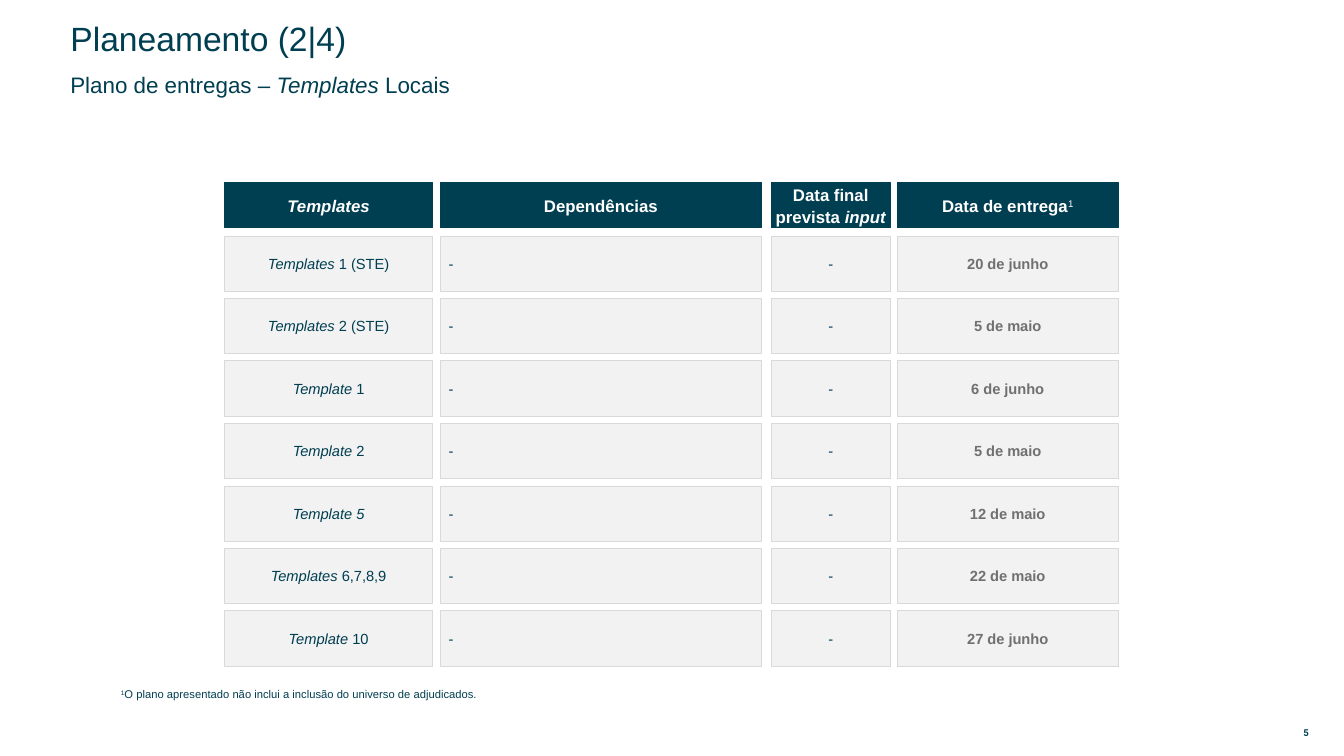
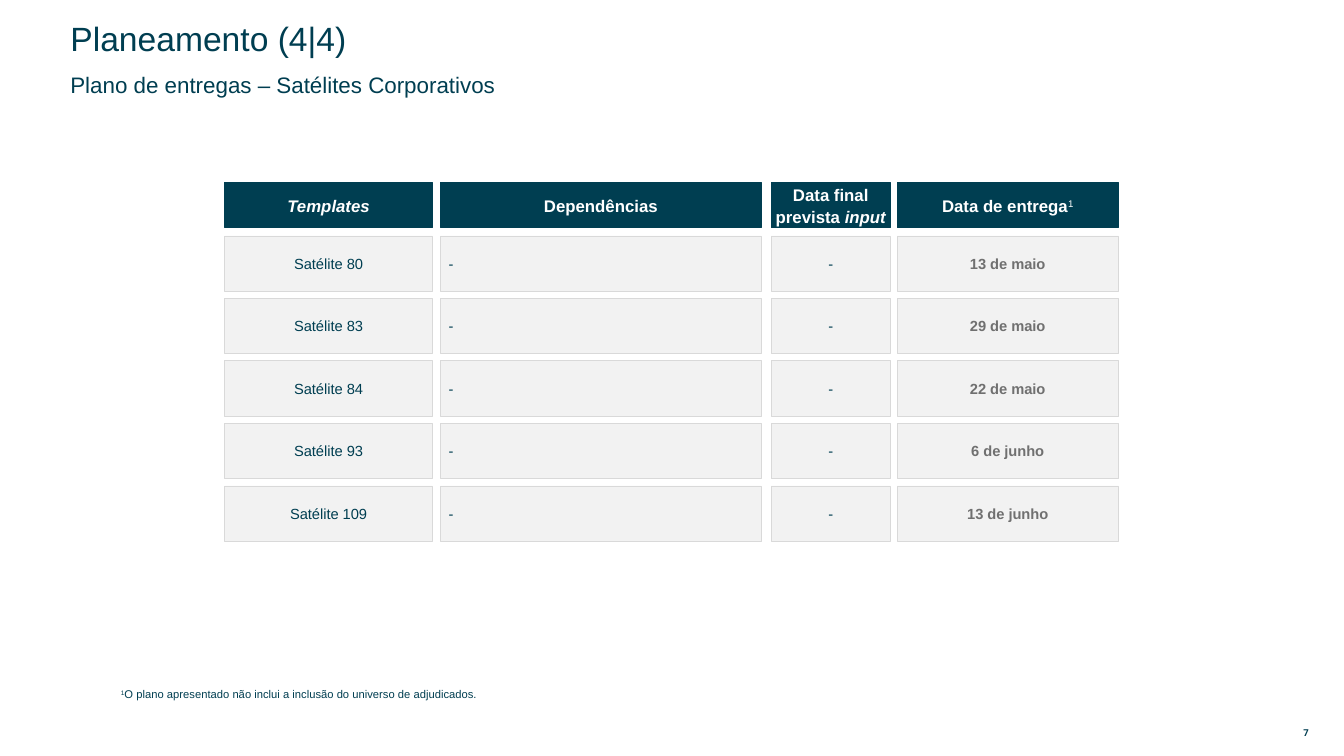
from dataclasses import dataclass

from pptx import Presentation
from pptx.dml.color import RGBColor
from pptx.enum.shapes import MSO_SHAPE as Shape
from pptx.enum.text import MSO_ANCHOR as Anchor, PP_ALIGN as Align
from pptx.util import Inches, Pt


@dataclass(frozen=True)
class Theme:
    """Colours, fonts and type sizes of the deck."""
    navy: RGBColor = RGBColor.from_string("003E51")
    white: RGBColor = RGBColor.from_string("FFFFFF")
    date_grey: RGBColor = RGBColor.from_string("707070")
    cell_fill: RGBColor = RGBColor.from_string("F2F2F2")
    cell_border: RGBColor = RGBColor.from_string("D9D9D9")
    font: str = "Arial"
    number_font: str = "Roboto"
    title: float = 24
    subtitle: float = 16
    header: float = 12
    body: float = 10.5
    note: float = 8
    page: float = 6.8


@dataclass(frozen=True)
class Piece:
    """A stretch of text with its own emphasis."""
    text: str
    italic: bool = False
    raised: bool = False


@dataclass(frozen=True)
class Column:
    """Place, heading and cell style of one plan column."""
    left: float
    width: float
    heading: tuple
    inset: float
    align: Align = Align.CENTER
    is_date: bool = False


def it(text):
    """Return an italic piece."""
    return Piece(text, italic=True)


def sup(text):
    """Return a superscript piece."""
    return Piece(text, raised=True)


COLUMNS = (
    Column(2.23, 2.06, (it("Templates"),), 0.04),
    Column(4.37, 3.18, ("Dependências",), 0.08, align=Align.LEFT),
    Column(7.65, 1.18, ("Data final prevista ", it("input")), 0.12),
    Column(8.9, 2.19, ("Data de entrega", sup("1")), 0.12, is_date=True),
)
HEADER_TOP, HEADER_HEIGHT = 1.81, 0.45
ROWS_TOP, ROW_PITCH, ROW_HEIGHT = 2.34, 0.62, 0.55
FOOTNOTE = (sup("1"), "O plano apresentado não inclui a inclusão do universo de adjudicados.")

PLANS = (
    ("5", "Planeamento (2|4)", ("Plano de entregas – ", it("Templates"), " Locais"), (
        ((it("Templates "), "1 (STE)"), "20 de junho"),
        ((it("Templates "), "2 (STE)"), "5 de maio"),
        ((it("Template "), "1"), "6 de junho"),
        ((it("Template "), "2"), "5 de maio"),
        ((it("Template 5"),), "12 de maio"),
        ((it("Templates"), " 6,7,8,9"), "22 de maio"),
        ((it("Template "), "10"), "27 de junho"),
    )),
    ("7", "Planeamento (4|4)", ("Plano de entregas – Satélites Corporativos",), (
        (("Satélite 80",), "13 de maio"),
        (("Satélite 83",), "29 de maio"),
        (("Satélite 84",), "22 de maio"),
        (("Satélite 93",), "6 de junho"),
        (("Satélite 109",), "13 de junho"),
    )),
)


class PlanDeck:
    """Draws delivery plan slides in one style."""

    def __init__(self, theme):
        """Start an empty widescreen deck."""
        self.theme = theme
        self.deck = Presentation()
        self.deck.slide_width, self.deck.slide_height = Inches(13.33), Inches(7.5)
        self.slide = None

    def set_text(self, frame, pieces, size, color, bold=False, font=None,
                 align=Align.LEFT, spacing=None, anchor=Anchor.MIDDLE, inset=(0.1, 0.05)):
        """Fill a text frame with one styled paragraph."""
        frame.word_wrap = True
        frame.vertical_anchor = anchor
        frame.margin_left = frame.margin_right = Inches(inset[0])
        frame.margin_top = frame.margin_bottom = Inches(inset[1])
        paragraph = frame.paragraphs[0]
        paragraph.alignment = align
        paragraph.line_spacing = spacing
        for piece in pieces:
            if isinstance(piece, str):
                piece = Piece(piece)
            run = paragraph.add_run()
            run.text = piece.text
            run.font.name = font or self.theme.font
            run.font.size = Pt(size)
            run.font.color.rgb = color
            run.font.bold = bold and not piece.raised
            run.font.italic = piece.italic
            if piece.raised:
                run._r.get_or_add_rPr().set("baseline", "30000")

    def label(self, left, top, width, height, pieces, size, **style):
        """Add a plain line of navy text."""
        box = self.slide.shapes.add_textbox(
            Inches(left), Inches(top), Inches(width), Inches(height))
        self.set_text(box.text_frame, pieces, size, self.theme.navy, **style)

    def cell(self, column, top, height, fill, border, weight, pieces, size, color, **style):
        """Add one filled cell of a plan column."""
        box = self.slide.shapes.add_shape(
            Shape.RECTANGLE, Inches(column.left), Inches(top),
            Inches(column.width), Inches(height))
        box.shadow.inherit = False
        box.fill.solid()
        box.fill.fore_color.rgb = fill
        box.line.color.rgb = border
        box.line.width = Pt(weight)
        self.set_text(box.text_frame, pieces, size, color, **style)

    def header(self, column):
        """Add the heading of a column."""
        theme = self.theme
        self.cell(column, HEADER_TOP, HEADER_HEIGHT, theme.navy, theme.navy, 0.75,
                  column.heading, theme.header, theme.white, bold=True,
                  align=Align.CENTER, spacing=1.1, inset=(0.04, 0.04))

    def entry(self, column, row, pieces):
        """Add the cell of a column in a numbered row."""
        theme = self.theme
        self.cell(column, ROWS_TOP + row * ROW_PITCH, ROW_HEIGHT,
                  theme.cell_fill, theme.cell_border, 0.5, pieces, theme.body,
                  theme.date_grey if column.is_date else theme.navy,
                  bold=column.is_date, align=column.align, inset=(column.inset, 0.04))

    def page(self, number, title, subtitle):
        """Open a slide with its title, subtitle, footnote and number."""
        theme = self.theme
        self.slide = self.deck.slides.add_slide(self.deck.slide_layouts[6])
        self.label(12.73, 7.19, 0.45, 0.16, (number,), theme.page, bold=True,
                   font=theme.number_font, align=Align.CENTER, inset=(0.06, 0.03))
        self.label(0.6, 0.27, 7.95, 0.26, (title,), theme.title, spacing=0.9)
        self.label(0.6, 0.73, 7.66, 0.26, subtitle, theme.subtitle, spacing=0.9)
        self.label(1.1, 6.76, 10.81, 0.24, FOOTNOTE, theme.note,
                   spacing=1.1, anchor=Anchor.TOP)

    def plan(self, deliveries):
        """Draw the grid of deliveries."""
        for column in COLUMNS:
            self.header(column)
        for row, (template, date) in enumerate(deliveries):
            for column, pieces in zip(COLUMNS, (template, ("-",), ("-",), (date,))):
                self.entry(column, row, pieces)


def main():
    """Build and save the deck."""
    plans = PlanDeck(Theme())
    for number, title, subtitle, deliveries in PLANS:
        plans.page(number, title, subtitle)
        plans.plan(deliveries)
    plans.deck.save("out.pptx")


if __name__ == "__main__":
    main()
